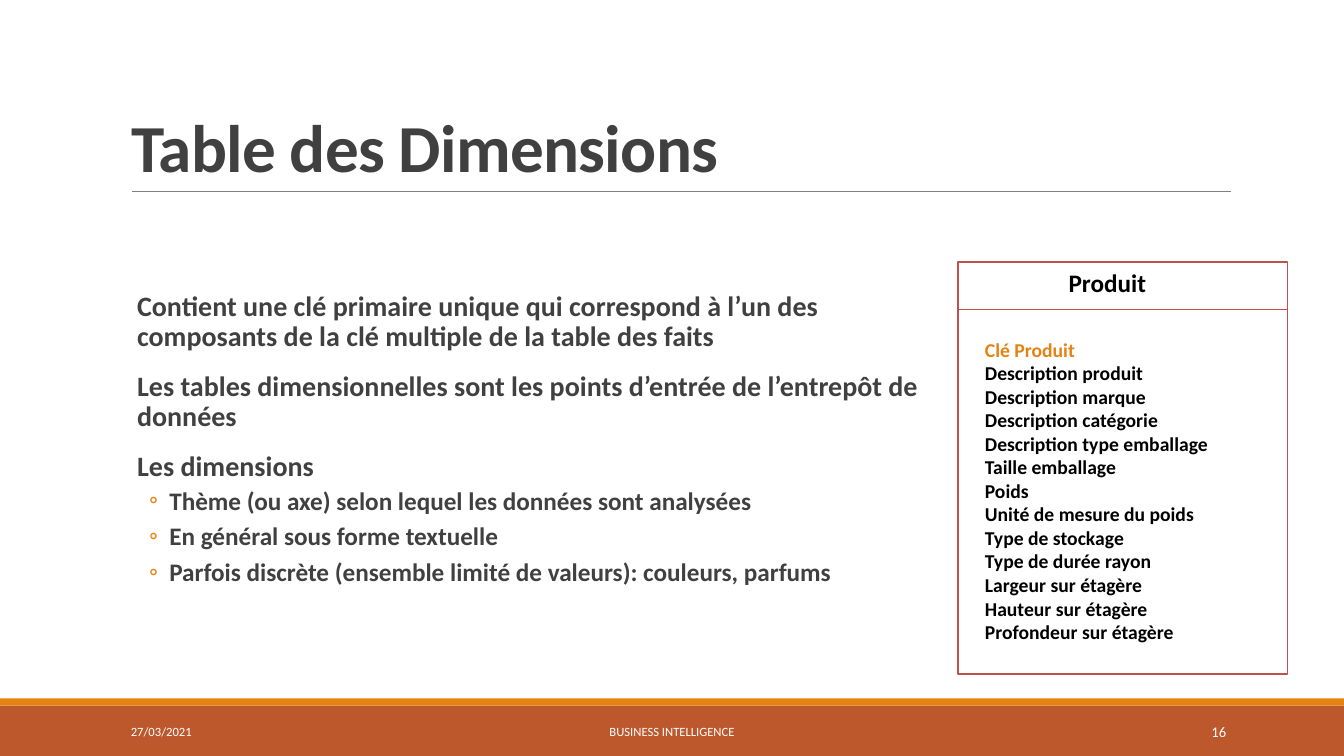
from dataclasses import dataclass

from lxml import etree
from pptx import Presentation
from pptx.dml.color import RGBColor
from pptx.enum import shapes, text
from pptx.oxml import ns
from pptx.util import Inches, Pt


@dataclass(frozen=True)
class Theme:
    font: str = "Calibri"
    ink: str = "404040"
    black: str = "000000"
    white: str = "FFFFFF"
    orange: str = "E48312"
    rust: str = "BD582C"
    grey: str = "808080"
    red: str = "C0504D"
    title: float = 48
    body: float = 20
    detail: float = 18
    field: float = 14
    footer: float = 9
    number: float = 10.5


THEME = Theme()

STATEMENTS = [
    "Contient une clé primaire unique qui correspond à l’un des composants de la clé multiple de la table des faits",
    "Les tables dimensionnelles sont les points d’entrée de l’entrepôt de données",
    "Les dimensions",
]
DETAILS = [
    "Thème (ou axe) selon lequel les données sont analysées",
    "En général sous forme textuelle",
    "Parfois discrète (ensemble limité de valeurs): couleurs, parfums",
]
KEY = "Clé Produit"
FIELDS = [
    "Description produit",
    "Description marque",
    "Description catégorie",
    "Description type emballage",
    "Taille emballage",
    "Poids",
    "Unité de mesure du poids",
    "Type de stockage",
    "Type de durée rayon",
    "Largeur sur étagère",
    "Hauteur sur étagère",
    "Profondeur sur étagère",
]


def place(shape, left, top, width, height):
    shape.left, shape.top = Inches(left), Inches(top)
    shape.width, shape.height = Inches(width), Inches(height)


def format_runs(paragraph, size, color, bold=False):
    for run in paragraph.runs:
        run.font.name = THEME.font
        run.font.size = Pt(size)
        run.font.bold = bold
        run.font.color.rgb = RGBColor.from_string(color)


def add_rectangle(parent, box, fill, line=None, weight=1.0):
    shape = parent.add_shape(shapes.MSO_SHAPE.RECTANGLE, *map(Inches, box))
    shape.shadow.inherit = False
    shape.fill.solid()
    shape.fill.fore_color.rgb = RGBColor.from_string(fill)
    if line:
        shape.line.color.rgb = RGBColor.from_string(line)
        shape.line.width = Pt(weight)
    else:
        shape.line.fill.background()


def add_rule(parent, left, right, top, color, weight):
    ends = map(Inches, (left, top, right, top))
    rule = parent.add_connector(shapes.MSO_CONNECTOR.STRAIGHT, *ends)
    rule.line.color.rgb = RGBColor.from_string(color)
    rule.line.width = Pt(weight)
    etree.SubElement(rule._element.spPr, ns.qn("a:effectLst"))


def add_text(parent, box, lines, size, color, bold=False,
             align=text.PP_ALIGN.LEFT, anchor=text.MSO_ANCHOR.TOP):
    shape = parent.add_textbox(*map(Inches, box))
    frame = shape.text_frame
    frame.word_wrap = True
    frame.vertical_anchor = anchor
    frame.text = "\n".join(lines)
    for paragraph in frame.paragraphs:
        paragraph.alignment = align
        format_runs(paragraph, size, color, bold)
    return frame


def set_indent(paragraph, margin, hanging=0.0):
    properties = paragraph._p.get_or_add_pPr()
    properties.set("marL", str(Inches(margin)))
    properties.set("indent", str(-Inches(hanging)))
    return properties


def add_bullet(properties, symbol, color):
    bullet_color = etree.SubElement(properties, ns.qn("a:buClr"))
    etree.SubElement(bullet_color, ns.qn("a:srgbClr")).set("val", color)
    etree.SubElement(properties, ns.qn("a:buFont")).set("typeface", THEME.font)
    etree.SubElement(properties, ns.qn("a:buChar")).set("char", symbol)


def set_title(slide, wording):
    title = slide.shapes.title
    place(title, 1.2, 0.31, 11, 1.59)
    frame = title.text_frame
    frame.text = wording
    frame.word_wrap = True
    frame.auto_size = text.MSO_AUTO_SIZE.NONE
    frame.vertical_anchor = text.MSO_ANCHOR.BOTTOM
    paragraph = frame.paragraphs[0]
    paragraph.alignment = text.PP_ALIGN.LEFT
    paragraph.line_spacing = 0.85
    format_runs(paragraph, THEME.title, THEME.ink, True)
    for run in paragraph.runs:
        run.font._element.set("spc", "-50")


def add_body(slide):
    frame = add_text(slide.shapes, (1.26, 2.85, 8.16, 4.06),
                     STATEMENTS + DETAILS, THEME.body, THEME.ink, True)
    frame.margin_left = frame.margin_right = 0
    for index, paragraph in enumerate(frame.paragraphs):
        paragraph.line_spacing = 0.9
        if index < len(STATEMENTS):
            paragraph.space_before, paragraph.space_after = Pt(12), Pt(2)
            set_indent(paragraph, 0.1)
        else:
            paragraph.level = 1
            paragraph.space_before, paragraph.space_after = Pt(2), Pt(4)
            add_bullet(set_indent(paragraph, 0.42, 0.2), "◦", THEME.orange)
            format_runs(paragraph, THEME.detail, THEME.ink, True)


def add_product_card(slide):
    card = slide.shapes.add_group_shape().shapes
    add_rectangle(card, (9.5, 2.6, 3.27, 4.09), THEME.white, THEME.red, 1.25)
    add_rule(card, 9.5, 12.77, 3.07, THEME.red, 1)
    add_text(card, (10.5, 2.6, 1.04, 0.4), ["Produit"], THEME.detail, THEME.black, True)
    frame = add_text(card, (9.67, 3.3, 3.03, 3.16), [KEY] + FIELDS,
                     THEME.field, THEME.black, True)
    format_runs(frame.paragraphs[0], THEME.field, THEME.orange, True)


def add_footer(slide):
    entries = [
        (1.2, 2.7, "27/03/2021", THEME.footer, text.PP_ALIGN.LEFT),
        (4.03, 5.27, "BUSINESS INTELLIGENCE", THEME.footer, text.PP_ALIGN.CENTER),
        (10.83, 1.43, "16", THEME.number, text.PP_ALIGN.RIGHT),
    ]
    for left, width, wording, size, align in entries:
        add_text(slide.shapes, (left, 7.06, width, 0.4), [wording], size,
                 THEME.white, align=align, anchor=text.MSO_ANCHOR.MIDDLE)


def main():
    presentation = Presentation()
    presentation.slide_width = Inches(13.33)
    presentation.slide_height = Inches(7.5)
    slide = presentation.slides.add_slide(presentation.slide_layouts[5])
    add_rectangle(slide.shapes, (0, 7, 13.33, 0.5), THEME.rust)
    add_rectangle(slide.shapes, (0, 6.93, 13.33, 0.07), THEME.orange)
    add_rule(slide.shapes, 1.31, 12.21, 1.9, THEME.grey, 0.5)
    set_title(slide, "Table des Dimensions")
    add_body(slide)
    add_footer(slide)
    add_product_card(slide)
    presentation.save("out.pptx")


if __name__ == "__main__":
    main()
